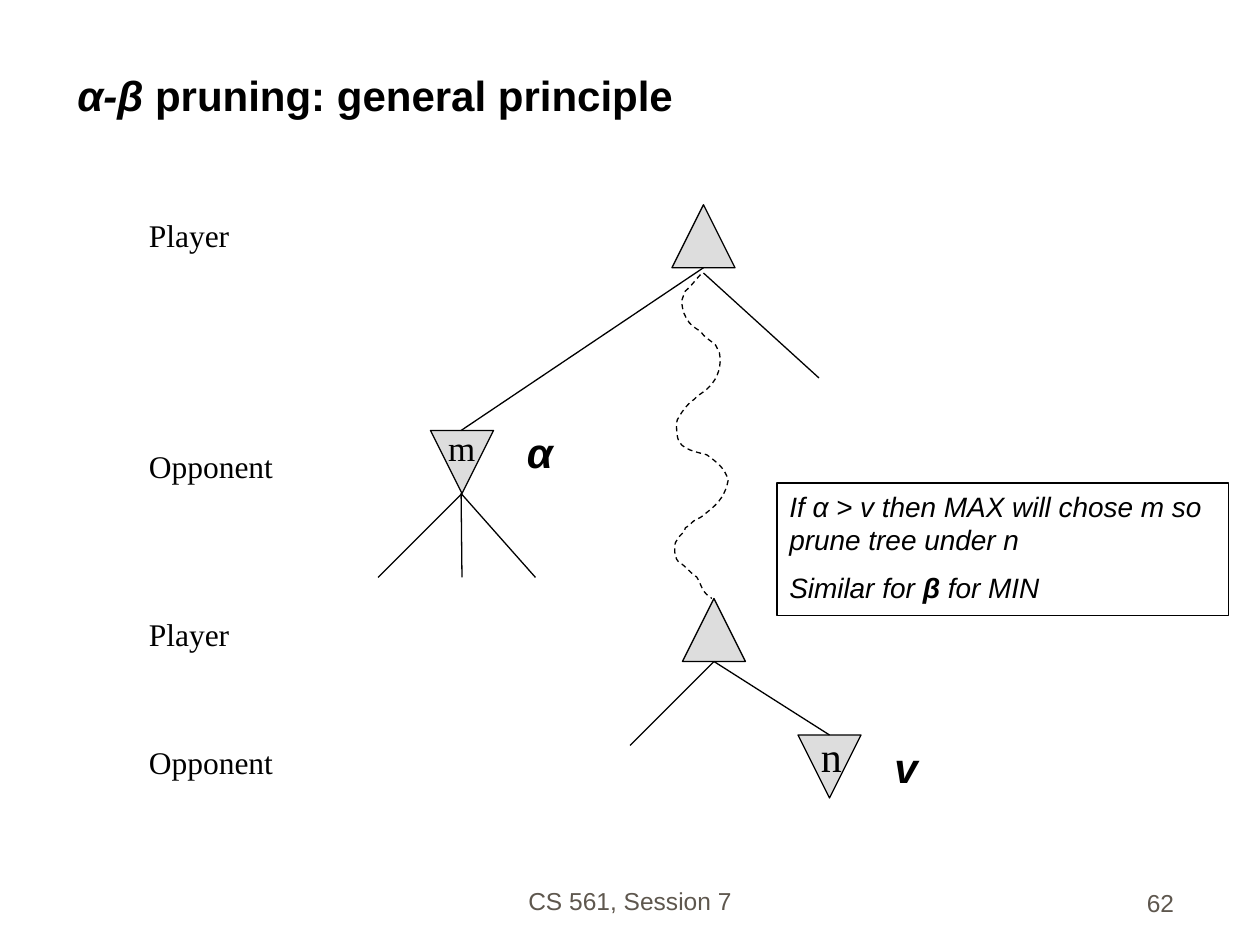
import dataclasses

import pptx
import pptx.dml.color
import pptx.enum.dml
import pptx.enum.shapes
import pptx.enum.text
import pptx.oxml.ns
import pptx.util
from lxml import etree

Pt = pptx.util.Pt
RGB = pptx.dml.color.RGBColor
ALIGN = pptx.enum.text.PP_ALIGN
ANCHOR = pptx.enum.text.MSO_ANCHOR
AUTO_SIZE = pptx.enum.text.MSO_AUTO_SIZE
SHAPE = pptx.enum.shapes.MSO_SHAPE
qn = pptx.oxml.ns.qn


@dataclasses.dataclass(frozen=True)
class Theme:
    ink: RGB = RGB(0x00, 0x00, 0x00)
    node: RGB = RGB(0xDD, 0xDD, 0xDD)
    muted: RGB = RGB(0x5E, 0x57, 0x4E)
    sans: str = "Arial"
    serif: str = "Times New Roman"
    heading: int = 24
    leaf: int = 20
    level: int = 18
    note: int = 16
    footer: int = 14
    stroke: float = 0.75


THEME = Theme()
NODE_SIZE = 36

# Left, top and whether the node points down
NODES = [
    (246, 246, True),
    (384, 117, False),
    (390, 342, False),
    (456, 420, True),
]

BRANCHES = [
    ((402, 153), (263.5, 246)),
    ((408, 378), (474, 420)),
    ((408, 378), (360, 426)),
    ((264, 282), (216, 330)),
    ((263.5, 282), (264, 330)),
    ((263.5, 282), (306, 330)),
    ((402, 156), (468, 216)),
]

LEVELS = [
    ("Player", 120, 60.5),
    ("Opponent", 252, 85.5),
    ("Player", 348, 60.5),
    ("Opponent", 421, 85.5),
]

# Bézier segments (two controls and an end) on a grid of 0.72 points
GRID = 0.72
PATH_START = (556, 218)
PATH_CURVES = [
    ((552, 222), (549, 227), (544, 231)),
    ((543, 233), (541, 239), (541, 239)),
    ((542, 248), (543, 250), (547, 256)),
    ((549, 259), (556, 263), (556, 263)),
    ((559, 268), (564, 270), (568, 274)),
    ((569, 276), (571, 280), (571, 280)),
    ((573, 290), (570, 300), (563, 307)),
    ((560, 311), (554, 313), (551, 317)),
    ((548, 319), (545, 322), (543, 325)),
    ((541, 327), (539, 331), (539, 331)),
    ((538, 332), (537, 334), (537, 336)),
    ((537, 340), (537, 344), (538, 348)),
    ((540, 357), (554, 359), (561, 361)),
    ((569, 367), (575, 371), (578, 381)),
    ((576, 392), (571, 399), (562, 406)),
    ((559, 408), (557, 411), (553, 412)),
    ((549, 414), (548, 417), (544, 419)),
    ((544, 420), (543, 421), (543, 422)),
    ((542, 423), (541, 424), (540, 425)),
    ((538, 427), (536, 431), (536, 431)),
    ((535, 436), (535, 444), (540, 447)),
    ((542, 448), (545, 451), (545, 451)),
    ((548, 454), (550, 456), (553, 458)),
    ((556, 462), (557, 469), (561, 472)),
    ((564, 474), (563, 473), (565, 475)),
]


def set_font(font, size, name=THEME.sans, color=THEME.ink, bold=False, italic=False):
    font.size = Pt(size)
    font.name = name
    font.color.rgb = color
    font.bold = bold
    font.italic = italic


def set_outline(shape):
    shape.line.color.rgb = THEME.ink
    shape.line.width = Pt(THEME.stroke)


def add_title(slide):
    title = slide.shapes.title
    title.left, title.top, title.width, title.height = Pt(37), Pt(18), Pt(642), Pt(54)
    frame = title.text_frame
    frame.vertical_anchor = ANCHOR.BOTTOM
    frame.auto_size = AUTO_SIZE.NONE
    heading = frame.paragraphs[0]
    heading.alignment = ALIGN.LEFT
    set_font(heading.font, THEME.heading, bold=True)
    greek = heading.add_run()
    greek.text = "α-β"
    greek.font.italic = True
    heading.add_run().text = " pruning: general principle"


def add_label(slide, text, box, size, wrap=True, anchor=ANCHOR.TOP, align=ALIGN.LEFT, **style):
    label = slide.shapes.add_textbox(*map(Pt, box))
    frame = label.text_frame
    frame.word_wrap = wrap
    frame.vertical_anchor = anchor
    paragraph = frame.paragraphs[0]
    paragraph.text = text
    paragraph.alignment = align
    set_font(paragraph.font, size, **style)


def add_node(slide, left, top, points_down):
    node = slide.shapes.add_shape(
        SHAPE.ISOSCELES_TRIANGLE, Pt(left), Pt(top), Pt(NODE_SIZE), Pt(NODE_SIZE))
    node.shadow.inherit = False
    node.fill.solid()
    node.fill.fore_color.rgb = THEME.node
    set_outline(node)
    if points_down:
        node.rotation = 180


def add_branch(slide, start, end):
    branch = slide.shapes.add_connector(
        pptx.enum.shapes.MSO_CONNECTOR.STRAIGHT, *map(Pt, start + end))
    set_outline(branch)
    etree.SubElement(branch.element.spPr, qn("a:effectLst"))


def add_hidden_path(slide):
    builder = slide.shapes.build_freeform(*PATH_START, scale=Pt(GRID))
    builder.add_line_segments([point for curve in PATH_CURVES for point in curve], close=False)
    descent = builder.convert_to_shape()
    # Each three straight segments become one Bézier segment
    segments = list(descent.element.iter(qn("a:lnTo")))
    for first, second, last in zip(*[iter(segments)] * 3):
        first.tag = qn("a:cubicBezTo")
        for segment in (second, last):
            first.append(segment[0])
            segment.getparent().remove(segment)
    descent.shadow.inherit = False
    descent.fill.background()
    set_outline(descent)
    descent.line.dash_style = pptx.enum.dml.MSO_LINE.DASH


def add_note(slide):
    note = slide.shapes.add_shape(SHAPE.RECTANGLE, Pt(444), Pt(276), Pt(258), Pt(75.6))
    note.shadow.inherit = False
    note.fill.background()
    set_outline(note)
    frame = note.text_frame
    frame.word_wrap = True
    frame.auto_size = AUTO_SIZE.SHAPE_TO_FIT_TEXT
    frame.vertical_anchor = ANCHOR.TOP
    rule = frame.paragraphs[0]
    rule.text = "If α > v then MAX will chose m so prune tree under n"
    counterpart = frame.add_paragraph()
    counterpart.space_before = Pt(THEME.note / 2)
    for text, bold in [("Similar for ", False), ("β", True), (" for MIN", False)]:
        run = counterpart.add_run()
        run.text = text
        if bold:
            run.font.bold = True
    for paragraph in (rule, counterpart):
        paragraph.alignment = ALIGN.LEFT
        set_font(paragraph.font, THEME.note, italic=True)


def main():
    deck = pptx.Presentation()
    deck.slide_width, deck.slide_height = Pt(720), Pt(540)
    slide = deck.slides.add_slide(deck.slide_layouts[5])

    add_title(slide)
    footer = dict(anchor=ANCHOR.BOTTOM, color=THEME.muted)
    add_label(slide, "CS 561, Session 7", (246, 490.5, 228, 36), THEME.footer,
              align=ALIGN.CENTER, **footer)
    add_label(slide, "62", (528, 492, 150, 36), THEME.footer, align=ALIGN.RIGHT, **footer)

    for node in NODES:
        add_node(slide, *node)
    for start, end in BRANCHES:
        add_branch(slide, start, end)
    add_hidden_path(slide)

    for player, top, width in LEVELS:
        add_label(slide, player, (78, top, width, 29), THEME.level,
                  wrap=False, name=THEME.serif)
    add_label(slide, "m", (249, 240, 30, 31), THEME.leaf, name=THEME.serif)
    add_label(slide, "n", (462, 414, 24, 36), THEME.heading, name=THEME.serif)
    for value, left, top in [("α", 294, 240), ("v", 504, 420)]:
        add_label(slide, value, (left, top, 36, 36), THEME.heading, bold=True, italic=True)
    add_note(slide)

    deck.save("out.pptx")


if __name__ == "__main__":
    main()
